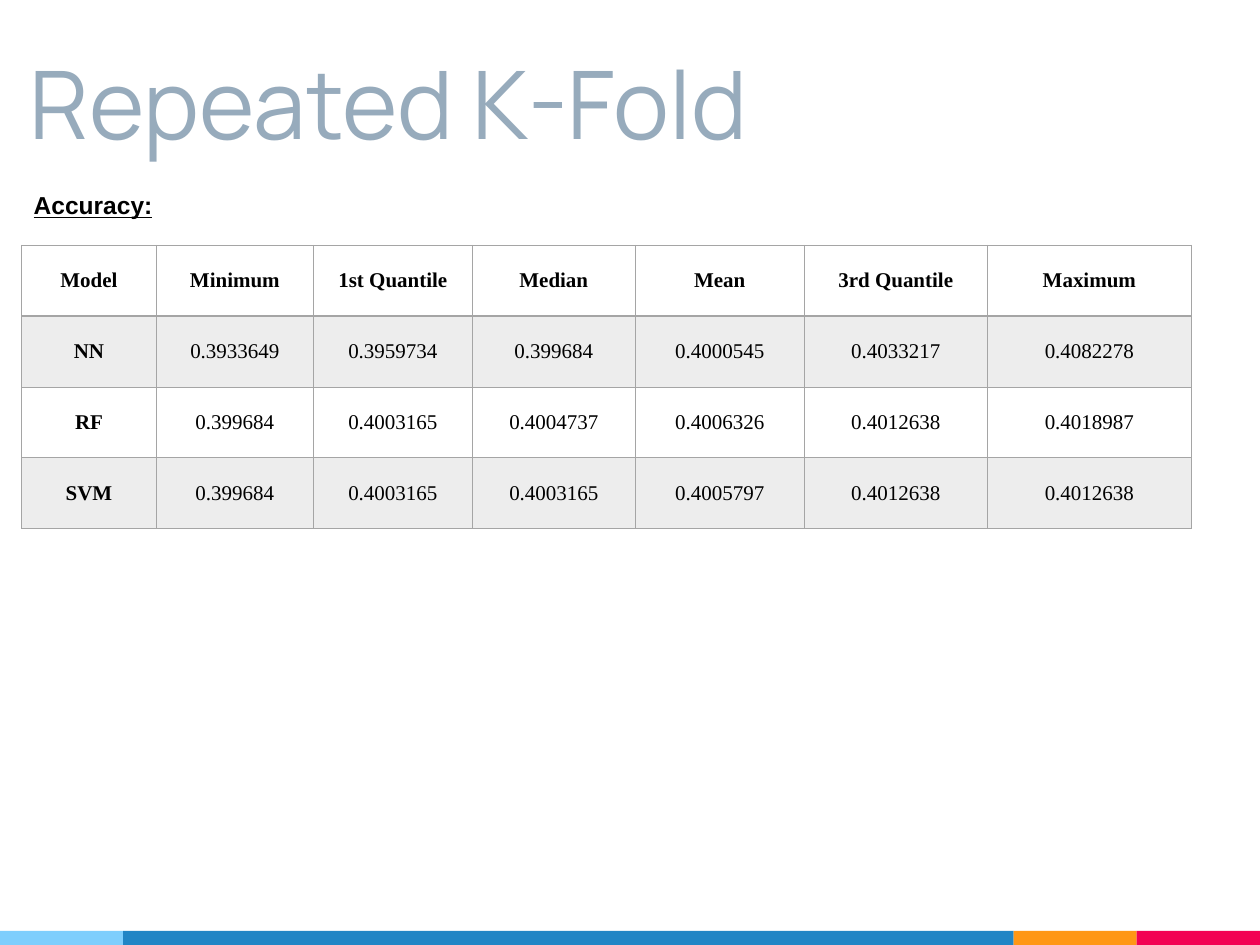
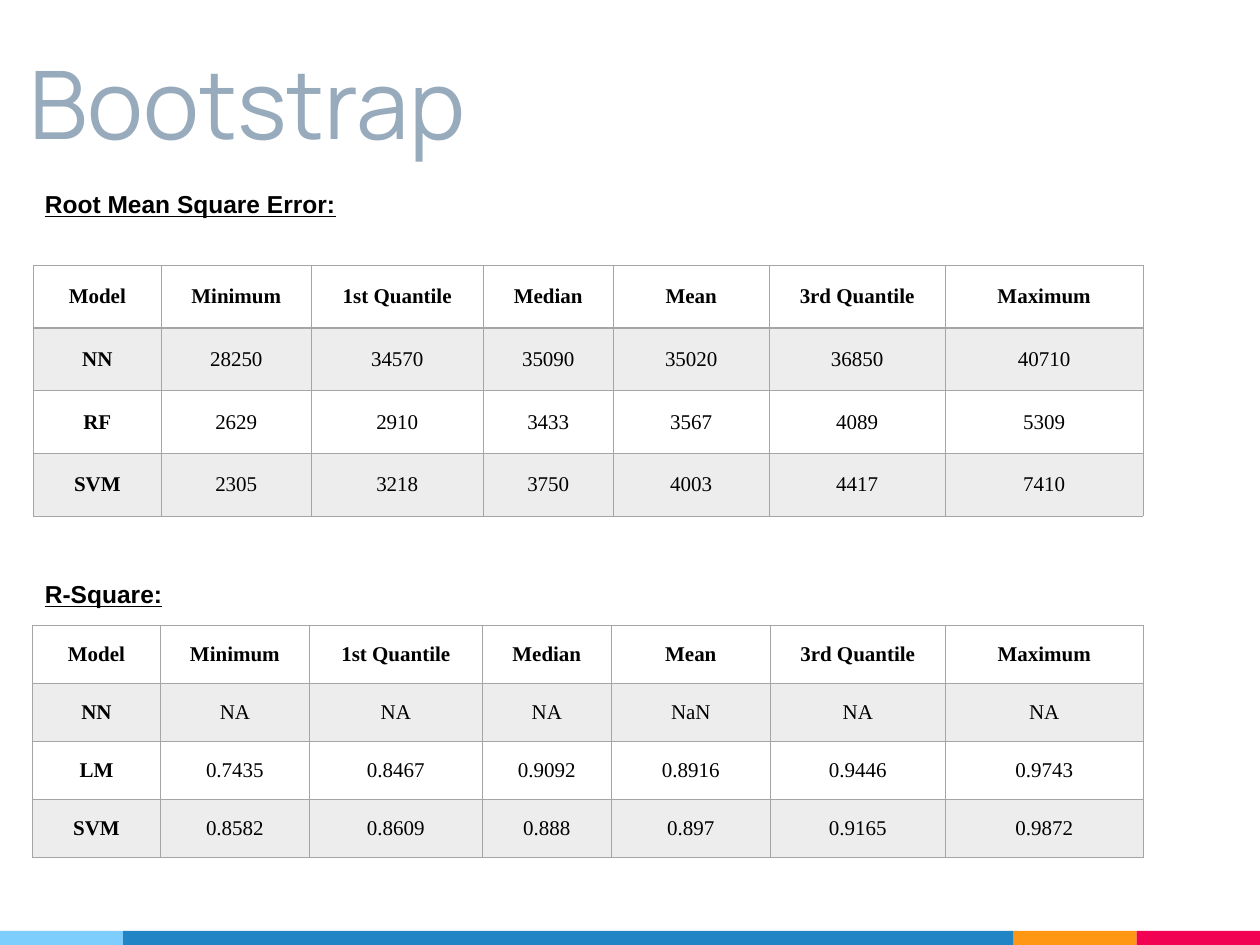
import pptx
import pptx.dml.color
import pptx.enum.shapes
import pptx.enum.text
import pptx.util
from lxml import etree
from pptx.oxml.ns import qn

Pt = pptx.util.Pt
ANCHOR = pptx.enum.text.MSO_ANCHOR
ALIGN = pptx.enum.text.PP_ALIGN

# Content: each section has a heading and a table (positions in points)
HEADER = ["Model", "Minimum", "1st Quantile", "Median", "Mean", "3rd Quantile", "Maximum"]

SLIDES = [
    {"title": "Repeated K-Fold", "sections": [
        {"heading": "Accuracy:", "heading_at": (12.2, 105.1),
         "table_at": (12.3, 140.2), "row_height": 40.5,
         "widths": [77.1, 89.7, 90.9, 93.1, 96.6, 104.6, 116.6],
         "rows": [
             ["NN", "0.3933649", "0.3959734", "0.399684", "0.4000545", "0.4033217", "0.4082278"],
             ["RF", "0.399684", "0.4003165", "0.4004737", "0.4006326", "0.4012638", "0.4018987"],
             ["SVM", "0.399684", "0.4003165", "0.4003165", "0.4005797", "0.4012638", "0.4012638"],
         ]},
    ]},
    {"title": "Bootstrap", "sections": [
        {"heading": "Root Mean Square Error:", "heading_at": (18.6, 104.6),
         "table_at": (19.1, 151.7), "row_height": 35.8,
         "widths": [73.1, 85.7, 98.3, 74.3, 89.1, 100.6, 113.1],
         "rows": [
             ["NN", "28250", "34570", "35090", "35020", "36850", "40710"],
             ["RF", "2629", "2910", "3433", "3567", "4089", "5309"],
             ["SVM", "2305", "3218", "3750", "4003", "4417", "7410"],
         ]},
        {"heading": "R-Square:", "heading_at": (18.6, 327.5),
         "table_at": (18.6, 357.5), "row_height": 33.1,
         "widths": [73.1, 85.1, 98.9, 73.7, 90.9, 100, 113.1],
         "rows": [
             ["NN", "NA", "NA", "NA", "NaN", "NA", "NA"],
             ["LM", "0.7435", "0.8467", "0.9092", "0.8916", "0.9446", "0.9743"],
             ["SVM", "0.8582", "0.8609", "0.888", "0.897", "0.9165", "0.9872"],
         ]},
    ]},
]

# Theme: text styles are (font, size, colour)
THEME = {
    "title": ("Manrope", 54, "97ABBC"),
    "heading": ("Arial", 14, "000000"),
    "cell": ("Times New Roman", 12, "000000"),
    "stripe": "EDEDED",
    "border": "A5A5A5",
    "thin": 0.5,
    "thick": 1,
    "band": [("7ECEFD", 70.4), ("2185C5", 508.8), ("FF9715", 70.4), ("F20253", 70.4)],
}
SLIDE_W, SLIDE_H, BAND_H = 720, 540, 8
TITLE_BOX = (10, 8, 600, 90)
HEADING_W, HEADING_H = 512, 24.2
TITLE_INSET, CELL_INSET = 7.2, 5


def rgb(value):
    return pptx.dml.color.RGBColor.from_string(value)


def style_text(p, style, bold=False, underline=False):
    name, size, color = THEME[style]
    for r in p.runs:
        r.font.name, r.font.size = name, Pt(size)
        r.font.color.rgb = rgb(color)
        r.font.bold, r.font.underline = bold, underline


def add_text(s, box, text, style, **emphasis):
    tf = s.shapes.add_textbox(*map(Pt, box)).text_frame
    tf.word_wrap = True
    tf.text = text
    style_text(tf.paragraphs[0], style, **emphasis)
    return tf


def add_title(s, text):
    tf = add_text(s, TITLE_BOX, text, "title")
    tf.vertical_anchor = ANCHOR.BOTTOM
    tf.margin_left = tf.margin_right = tf.margin_top = tf.margin_bottom = Pt(TITLE_INSET)


def add_band(s):
    left = 0
    for color, width in THEME["band"]:
        sp = s.shapes.add_shape(pptx.enum.shapes.MSO_SHAPE.RECTANGLE,
                                Pt(left), Pt(SLIDE_H - BAND_H), Pt(width), Pt(BAND_H))
        sp.shadow.inherit = False
        sp.fill.solid()
        sp.fill.fore_color.rgb = rgb(color)
        sp.line.fill.background()
        left += width


def set_borders(cell, row):
    # The rule between the header and the first data row is thicker
    tc_pr = cell._tc.get_or_add_tcPr()
    thick_side = {0: "lnB", 1: "lnT"}.get(row)
    for side in ("lnL", "lnR", "lnT", "lnB"):
        width = THEME["thick" if side == thick_side else "thin"]
        ln = etree.SubElement(tc_pr, qn("a:" + side), w=str(Pt(width)))
        fill = etree.SubElement(ln, qn("a:solidFill"))
        etree.SubElement(fill, qn("a:srgbClr"), val=THEME["border"])


def format_cell(cell, text, row, col):
    cell.text = text
    cell.vertical_anchor = ANCHOR.MIDDLE
    cell.margin_left = cell.margin_right = Pt(CELL_INSET)
    cell.margin_top = cell.margin_bottom = Pt(CELL_INSET)
    p = cell.text_frame.paragraphs[0]
    p.alignment = ALIGN.CENTER
    style_text(p, "cell", bold=row == 0 or col == 0)
    set_borders(cell, row)
    if row % 2:
        cell.fill.solid()
        cell.fill.fore_color.rgb = rgb(THEME["stripe"])
    else:
        cell.fill.background()


def add_results(s, section):
    add_text(s, (*section["heading_at"], HEADING_W, HEADING_H), section["heading"],
             "heading", bold=True, underline=True)
    rows, widths = [HEADER] + section["rows"], section["widths"]
    left, top = section["table_at"]
    table = s.shapes.add_table(len(rows), len(HEADER), Pt(left), Pt(top), Pt(sum(widths)),
                               Pt(section["row_height"] * len(rows))).table
    table.first_row = table.horz_banding = False
    for column, width in zip(table.columns, widths):
        column.width = Pt(width)
    for i, values in enumerate(rows):
        table.rows[i].height = Pt(section["row_height"])
        for j, value in enumerate(values):
            format_cell(table.cell(i, j), value, i, j)


def main():
    prs = pptx.Presentation()
    prs.slide_width, prs.slide_height = Pt(SLIDE_W), Pt(SLIDE_H)
    for content in SLIDES:
        s = prs.slides.add_slide(prs.slide_layouts[6])
        add_band(s)
        add_title(s, content["title"])
        for section in content["sections"]:
            add_results(s, section)
    prs.save("out.pptx")


if __name__ == "__main__":
    main()
